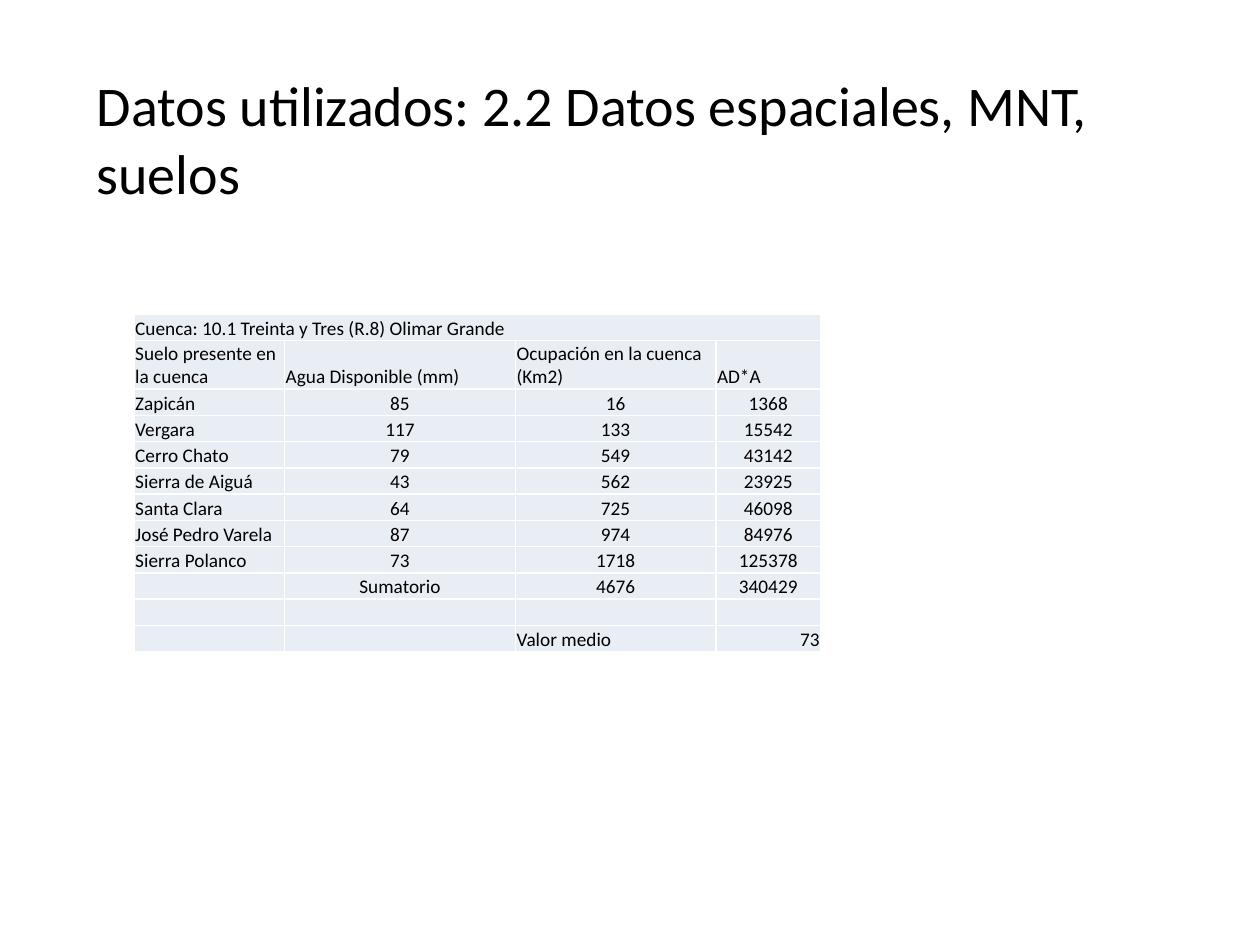
from lxml import etree
from pptx import Presentation
from pptx.dml.color import RGBColor
from pptx.enum.text import MSO_ANCHOR, MSO_AUTO_SIZE, PP_ALIGN
from pptx.oxml.ns import qn
from pptx.util import Pt

LEFT, CENTER, RIGHT = PP_ALIGN.LEFT, PP_ALIGN.CENTER, PP_ALIGN.RIGHT
MIDDLE, BOTTOM = MSO_ANCHOR.MIDDLE, MSO_ANCHOR.BOTTOM
NO_FIT = MSO_AUTO_SIZE.NONE
BLACK = RGBColor(0x00, 0x00, 0x00)
WHITE = RGBColor(0xFF, 0xFF, 0xFF)
PALE = RGBColor(0xE9, 0xED, 0xF4)

TITLE = "Datos utilizados: 2.2 Datos espaciales, MNT, suelos"
BASIN = "Cuenca: 10.1 Treinta y Tres (R.8) Olimar Grande"
HEADS = ("Suelo presente en la cuenca", "Agua Disponible (mm)",
         "Ocupación en la cuenca (Km2)", "AD*A")
SOILS = (
    ("Zapicán", "85", "16", "1368"),
    ("Vergara", "117", "133", "15542"),
    ("Cerro Chato", "79", "549", "43142"),
    ("Sierra de Aiguá", "43", "562", "23925"),
    ("Santa Clara", "64", "725", "46098"),
    ("José Pedro Varela", "87", "974", "84976"),
    ("Sierra Polanco", "73", "1718", "125378"),
    ("", "Sumatorio", "4676", "340429"),
)
MEAN = ("", "", "Valor medio", "73")
TEXT = (LEFT,) * 4
DATA = (LEFT, CENTER, CENTER, CENTER)
LAST = (LEFT, LEFT, LEFT, RIGHT)


class Deck:
    face = "Calibri"
    ink = BLACK

    def __init__(self):
        self.file = Presentation()
        self.file.slide_width, self.file.slide_height = Pt(720), Pt(540)
        self.slide = self.file.slides.add_slide(self.file.slide_layouts[5])

    def label(self, para, text, size, align):
        para.alignment = align
        if not text:
            end = etree.SubElement(para._p, qn("a:endParaRPr"))
            end.set("sz", str(size * 100))
            return
        run = para.add_run()
        run.text = text
        run.font.name = self.face
        run.font.size = Pt(size)
        run.font.color.rgb = self.ink

    def title(self, text, left, top, width, height):
        shape = self.slide.shapes.title
        shape.left, shape.top = Pt(left), Pt(top)
        shape.width, shape.height = Pt(width), Pt(height)
        frame = shape.text_frame
        frame.word_wrap = True
        frame.auto_size = NO_FIT
        frame.vertical_anchor = MIDDLE
        self.label(frame.paragraphs[0], text, 32, LEFT)

    def border(self, cell):
        props = cell._tc.get_or_add_tcPr()
        for side in ("lnL", "lnR", "lnT", "lnB"):
            line = etree.SubElement(props, qn(f"a:{side}"), w=str(Pt(1)))
            fill = etree.SubElement(line, qn("a:solidFill"))
            etree.SubElement(fill, qn("a:srgbClr"), val=str(WHITE))

    def cell(self, cell, text, align):
        self.border(cell)
        cell.fill.solid()
        cell.fill.fore_color.rgb = PALE
        cell.vertical_anchor = BOTTOM
        cell.margin_left = cell.margin_right = cell.margin_top = Pt(0.7)
        cell.margin_bottom = Pt(0)
        self.label(cell.text_frame.paragraphs[0], text, 11, align)

    def table(self, rows, left, top, widths, heights):
        grid = self.slide.shapes.add_table(
            len(rows), len(widths), Pt(left), Pt(top),
            Pt(sum(widths)), Pt(sum(heights))).table
        grid.first_row = grid.horz_banding = False
        for col, width in zip(grid.columns, widths):
            col.width = Pt(width)
        for row, height, (texts, aligns) in zip(grid.rows, heights, rows):
            row.height = Pt(height)
            for cell, text, align in zip(row.cells, texts, aligns):
                self.cell(cell, text, align)
        return grid


def main():
    deck = Deck()
    rows = [((BASIN, "", "", ""), TEXT), (HEADS, TEXT)]
    rows += [(soil, DATA) for soil in SOILS]
    rows += [(("",) * 4, TEXT), (MEAN, LAST)]
    heights = [15, 27] + [15] * (len(rows) - 2)
    grid = deck.table(rows, 76.6, 179.5, (86, 132, 114.5, 60), heights)
    grid.cell(0, 0).merge(grid.cell(0, 3))
    deck.title(TITLE, 48, 34, 648, 90)
    deck.file.save("out.pptx")


if __name__ == "__main__":
    main()
